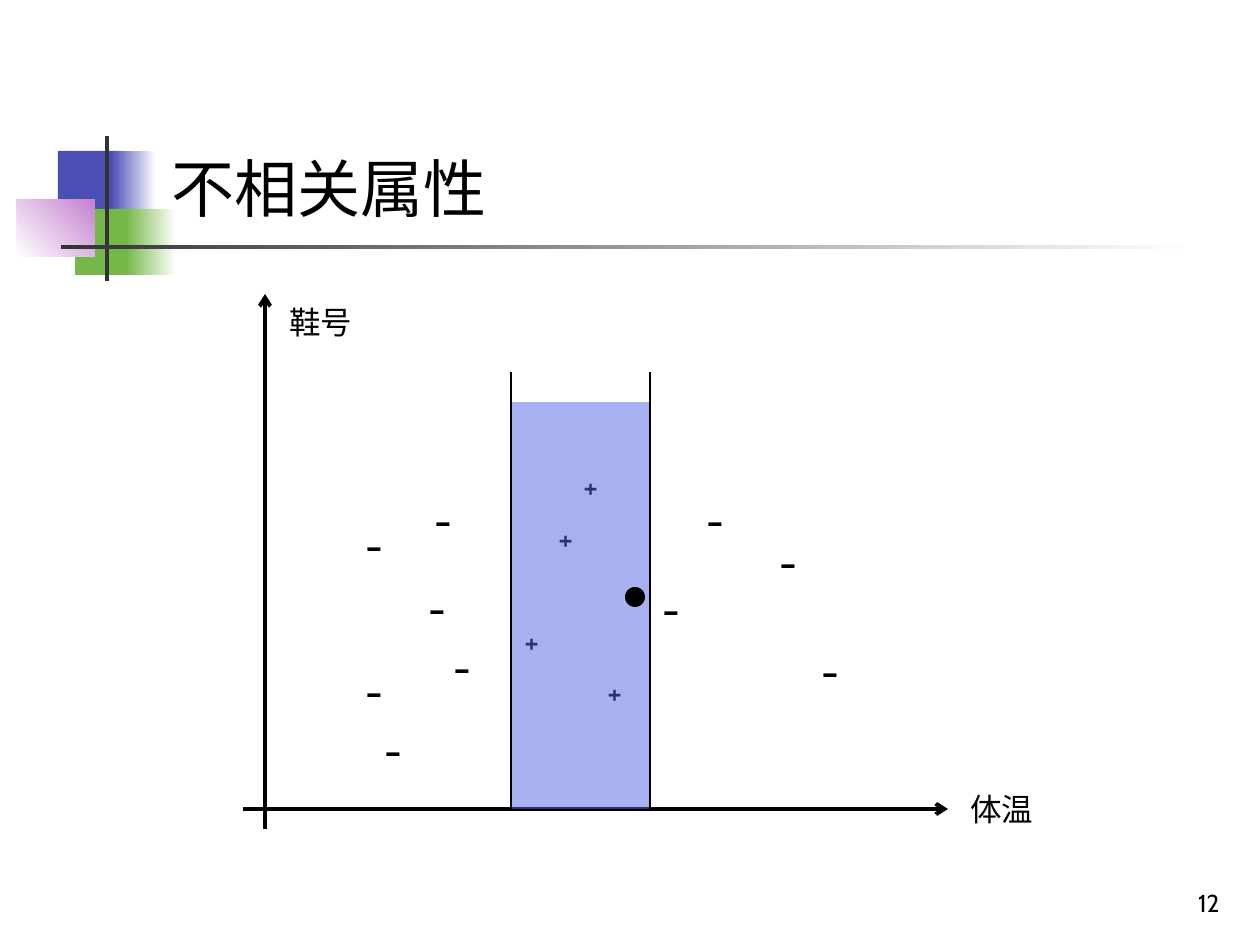
from lxml.etree import SubElement
from pptx import Presentation
from pptx.dml.color import RGBColor
from pptx.enum.shapes import MSO_CONNECTOR as CONNECTOR, MSO_SHAPE as SHAPE
from pptx.enum.text import MSO_ANCHOR as ANCHOR, PP_ALIGN as ALIGN
from pptx.oxml.ns import qn
from pptx.util import Pt

PX_PER_INCH = 126
BLACK = RGBColor(0x00, 0x00, 0x00)
WHITE = RGBColor(0xFF, 0xFF, 0xFF)
GRAY = RGBColor(0x33, 0x33, 0x33)
BLUE = RGBColor(0x4B, 0x4E, 0xB5)
GREEN = RGBColor(0x76, 0xB7, 0x49)
PINK = RGBColor(0xC4, 0x81, 0xCF)
BAND_BLUE = RGBColor(0x50, 0x62, 0xE4)
LATIN_FONT = "Cabin"
CJK_FONT = "Noto Sans CJK JP"


def px(length):
    return length * 914400 // PX_PER_INCH


def add_block(page, left, top, width, height, color, kind=SHAPE.RECTANGLE):
    block = page.shapes.add_shape(kind, px(left), px(top), px(width), px(height))
    block.shadow.inherit = False
    block.line.fill.background()
    block.fill.solid()
    block.fill.fore_color.rgb = color
    return block


def add_fade(page, left, top, width, height, start, end, angle=0):
    fill = add_block(page, left, top, width, height, start).fill
    fill.gradient()
    fill.gradient_angle = angle
    for stop, color in zip(fill.gradient_stops, (start, end)):
        stop.color.rgb = color


def add_line(page, x1, y1, x2, y2, weight, arrow=False):
    line = page.shapes.add_connector(CONNECTOR.STRAIGHT, px(x1), px(y1), px(x2), px(y2))
    line.line.color.rgb = BLACK
    line.line.width = Pt(weight)
    if arrow:
        SubElement(line.line._get_or_add_ln(), qn("a:tailEnd"), type="arrow")
    SubElement(line._element.spPr, qn("a:effectLst"))


def write(box, text, size, font=LATIN_FONT, align=ALIGN.LEFT, anchor=ANCHOR.TOP):
    frame = box.text_frame
    frame.word_wrap = True
    frame.vertical_anchor = anchor
    para = frame.paragraphs[0]
    para.text = text
    para.alignment = align
    para.font.size = Pt(size)
    para.font.name = font
    para.font.color.rgb = BLACK


def add_label(page, left, top, width, height, text, size, **style):
    box = page.shapes.add_textbox(px(left), px(top), px(width), px(height))
    write(box, text, size, **style)


def add_ornament(page, left, top):
    # Solid squares fading out to the right
    add_block(page, left + 41, top + 15, 60, 66, BLUE)
    add_fade(page, left + 94, top + 15, 45, 66, BLUE, WHITE)
    add_block(page, left + 58, top + 73, 58, 66, GREEN)
    add_fade(page, left + 109, top + 73, 50, 66, GREEN, WHITE)
    add_fade(page, left, top + 63, 78, 58, WHITE, PINK, angle=45)
    # Crossing bars
    add_block(page, left + 88, top, 4, 145, GRAY)
    add_fade(page, left + 44, top + 109, 1134, 4, GRAY, WHITE)


def add_title(page, left, top, width, height):
    title = page.shapes.title
    title.left, title.top, title.width, title.height = map(px, (left, top, width, height))
    write(title, "不相关属性", 36, anchor=ANCHOR.BOTTOM)


def add_scatter(page, left, top, width, height):
    base = top + height - 20
    band_left, band_right = left + 268, left + 407
    pluses = [(328, 167), (352, 373), (303, 219), (269, 322)]
    minuses = [(110, 219), (451, 194), (566, 345), (173, 282), (198, 341),
               (524, 236), (110, 365), (129, 424), (179, 194), (407, 283)]

    # Axes
    add_line(page, left, base, left + width, base, 2.25, arrow=True)
    add_line(page, left + 22, top + height, left + 22, top, 2.25, arrow=True)

    # Samples of both classes
    for sign, size, box_height, places in (("+", 18, 50, pluses), ("-", 24, 63, minuses)):
        for x, y in places:
            add_label(page, left + x, top + y, 49, box_height, sign, size)

    # Translucent band between its two limits
    band = add_block(page, band_left, top + 108, band_right - band_left, base - top - 108, BAND_BLUE)
    color = band._element.spPr.find(qn("a:solidFill"))[0]
    SubElement(color, qn("a:alpha"), val="50000")
    for x in (band_left, band_right):
        add_line(page, x, base, x, top + 78, 1.5)

    # Query point and axis names
    add_block(page, left + 382, top + 293, 20, 20, BLACK, SHAPE.OVAL)
    add_label(page, left + width + 10, base - 25, 100, 50, "体温", 18, font=CJK_FONT)
    add_label(page, left + 34, top + 3, 100, 50, "鞋号", 18, font=CJK_FONT)


def main():
    deck = Presentation()
    deck.slide_width, deck.slide_height = px(1260), px(945)
    page = deck.slides.add_slide(deck.slide_layouts[5])
    add_ornament(page, 17, 136)
    add_label(page, 970, 861, 262, 63, "12", 14, align=ALIGN.RIGHT, anchor=ANCHOR.BOTTOM)
    add_title(page, 159, 29, 1074, 202)
    add_scatter(page, 243, 294, 705, 535)
    deck.save("out.pptx")


if __name__ == "__main__":
    main()
